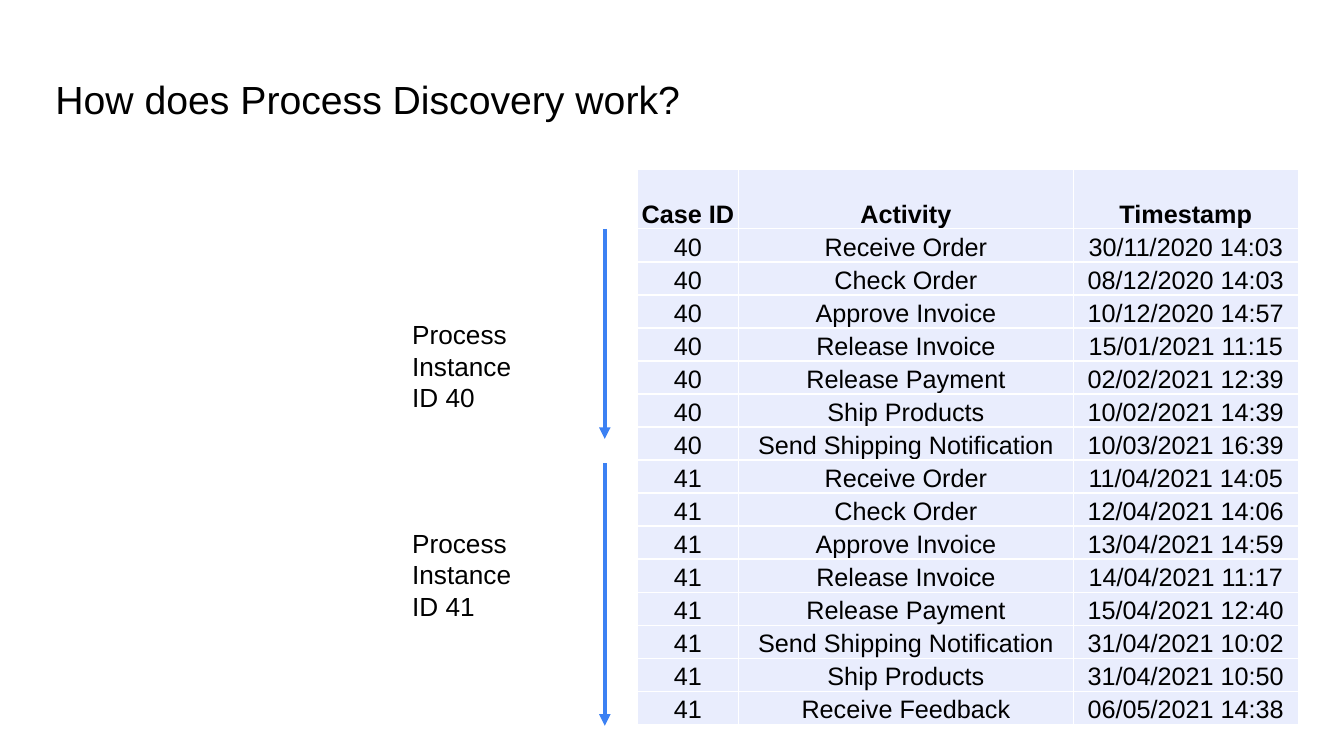
from lxml import etree
from pptx import Presentation
from pptx import util as u
from pptx.dml.color import RGBColor
from pptx.enum import shapes, text
from pptx.oxml import ns

BLACK = RGBColor(0x00, 0x00, 0x00)
WHITE = RGBColor(0xFF, 0xFF, 0xFF)
LAVENDER = RGBColor(0xE9, 0xED, 0xFD)
BLUE = RGBColor(0x3C, 0x81, 0xF3)

HEADINGS = ("Case ID", "Activity", "Timestamp")
CASES = {
    "40": (
        ("Receive Order", "30/11/2020 14:03"),
        ("Check Order", "08/12/2020 14:03"),
        ("Approve Invoice", "10/12/2020 14:57"),
        ("Release Invoice", "15/01/2021 11:15"),
        ("Release Payment", "02/02/2021 12:39"),
        ("Ship Products", "10/02/2021 14:39"),
        ("Send Shipping Notification", "10/03/2021 16:39"),
    ),
    "41": (
        ("Receive Order", "11/04/2021 14:05"),
        ("Check Order", "12/04/2021 14:06"),
        ("Approve Invoice", "13/04/2021 14:59"),
        ("Release Invoice", "14/04/2021 11:17"),
        ("Release Payment", "15/04/2021 12:40"),
        ("Send Shipping Notification", "31/04/2021 10:02"),
        ("Ship Products", "31/04/2021 10:50"),
        ("Receive Feedback", "06/05/2021 14:38"),
    ),
}


def write(frame, *lines, size=18, bold=False, align=text.PP_ALIGN.LEFT,
          font="Arial", color=BLACK):
    """Fill a text frame with one paragraph per line."""
    for number, line in enumerate(lines):
        paragraph = frame.add_paragraph() if number else frame.paragraphs[0]
        paragraph.alignment = align
        run = paragraph.add_run()
        run.text = line
        run.font.name = font
        run.font.size = u.Pt(size)
        run.font.bold = bold
        run.font.color.rgb = color


class ProcessSlide:
    """Current slide and its style; all lengths are in points."""

    def __init__(self, deck, arrow_color=BLUE, cell_color=LAVENDER, rule_color=WHITE):
        self.slide = deck.slides.add_slide(deck.slide_layouts[5])
        self.arrow_color = arrow_color
        self.cell_color = cell_color
        self.rule_color = rule_color

    def title(self, wording, left, top, width, height):
        heading = self.slide.shapes.title
        heading.left, heading.top = u.Pt(left), u.Pt(top)
        heading.width, heading.height = u.Pt(width), u.Pt(height)
        frame = heading.text_frame
        frame.margin_left = frame.margin_right = u.Pt(7.2)
        frame.margin_top = frame.margin_bottom = u.Pt(7.2)
        frame.vertical_anchor = text.MSO_ANCHOR.TOP
        frame.auto_size = text.MSO_AUTO_SIZE.NONE
        write(frame, wording, size=28)

    def label(self, lines, left, top, width, height):
        box = self.slide.shapes.add_textbox(
            u.Pt(left), u.Pt(top), u.Pt(width), u.Pt(height))
        box.text_frame.word_wrap = False
        box.text_frame.auto_size = text.MSO_AUTO_SIZE.SHAPE_TO_FIT_TEXT
        write(box.text_frame, *lines, size=18.7, align=text.PP_ALIGN.JUSTIFY)

    def down_arrow(self, x, top, bottom):
        arrow = self.slide.shapes.add_connector(
            shapes.MSO_CONNECTOR.STRAIGHT, u.Pt(x), u.Pt(top), u.Pt(x), u.Pt(bottom))
        arrow.line.color.rgb = self.arrow_color
        arrow.line.width = u.Pt(2.75)
        etree.SubElement(arrow.line._get_or_add_ln(), ns.qn("a:tailEnd"), type="triangle")
        etree.SubElement(arrow._element.spPr, ns.qn("a:effectLst"))

    def cell_borders(self, cell, width=1):
        properties = cell._tc.get_or_add_tcPr()
        for side in ("lnL", "lnR", "lnT", "lnB"):
            line = etree.SubElement(properties, ns.qn(f"a:{side}"), w=str(u.Pt(width)))
            fill = etree.SubElement(line, ns.qn("a:solidFill"))
            etree.SubElement(fill, ns.qn("a:srgbClr"), val=str(self.rule_color))

    def table(self, rows, left, top, column_widths, header_height, row_height):
        height = header_height + row_height * (len(rows) - 1)
        table = self.slide.shapes.add_table(
            len(rows), len(column_widths), u.Pt(left), u.Pt(top),
            u.Pt(sum(column_widths)), u.Pt(height)).table
        table.horz_banding = False
        for column, width in zip(table.columns, column_widths):
            column.width = u.Pt(width)
        for r, values in enumerate(rows):
            table.rows[r].height = u.Pt(row_height if r else header_height)
            for c, value in enumerate(values):
                cell = table.cell(r, c)
                self.cell_borders(cell)
                cell.fill.solid()
                cell.fill.fore_color.rgb = self.cell_color
                cell.margin_left = cell.margin_right = cell.margin_top = u.Pt(0.7)
                cell.margin_bottom = 0
                cell.vertical_anchor = text.MSO_ANCHOR.BOTTOM
                write(cell.text_frame, value, bold=r == 0, align=text.PP_ALIGN.CENTER)


def main():
    deck = Presentation()
    deck.slide_width, deck.slide_height = u.Pt(960), u.Pt(540)
    slide = ProcessSlide(deck)
    slide.title("How does Process Discovery work?", 32.4, 46.8, 894.2, 60.5)

    # Event log
    events = [(case, *event) for case, log in CASES.items() for event in log]
    slide.table([HEADINGS, *events], left=455.2, top=121, column_widths=(72.4, 239, 160.8),
                header_height=42.5, row_height=23.6)

    # Process instances: the arrow spans the events of each case
    spans = ((163.5, 313.5, 223.9), (331, 518.4, 373))
    for case, (start, end, label_top) in zip(CASES, spans):
        slide.down_arrow(432, start, end)
        slide.label(("Process", "Instance", f"ID {case}"), 287.3, label_top, 87.8, 74.9)

    deck.save("out.pptx")


if __name__ == "__main__":
    main()
